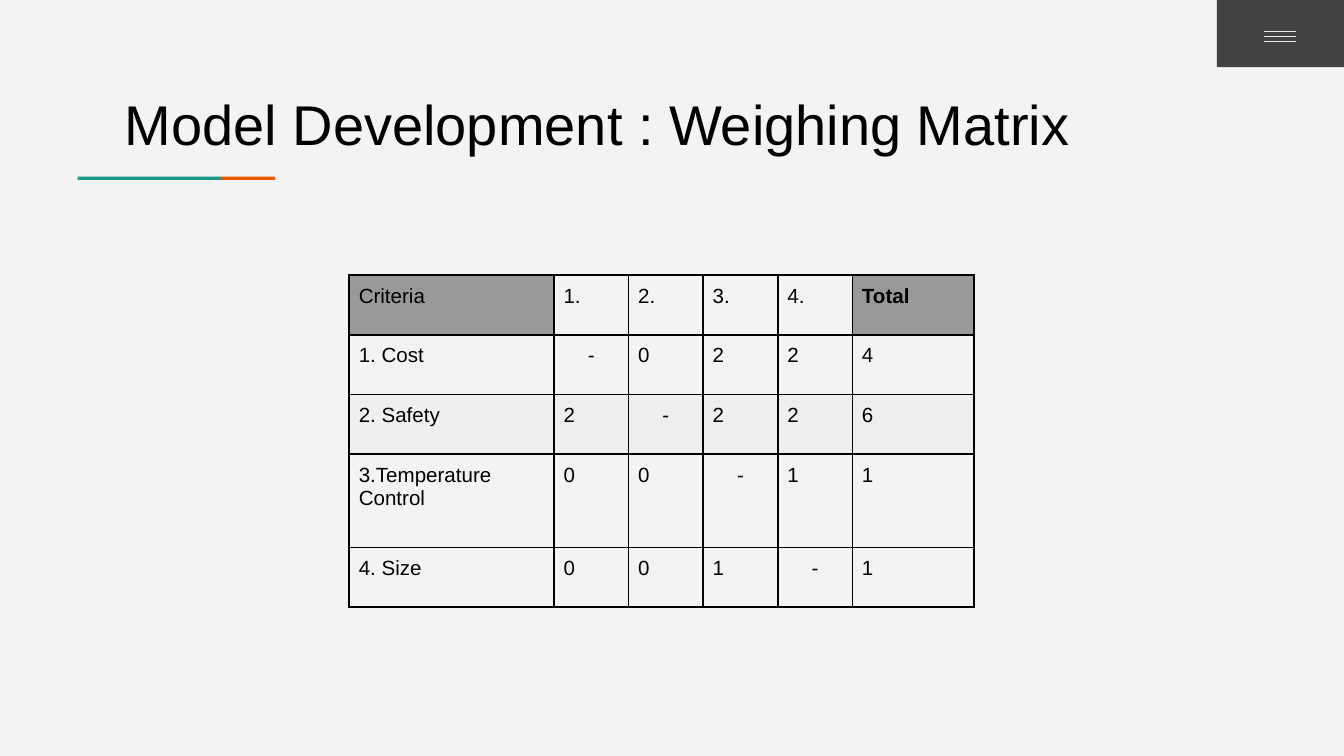
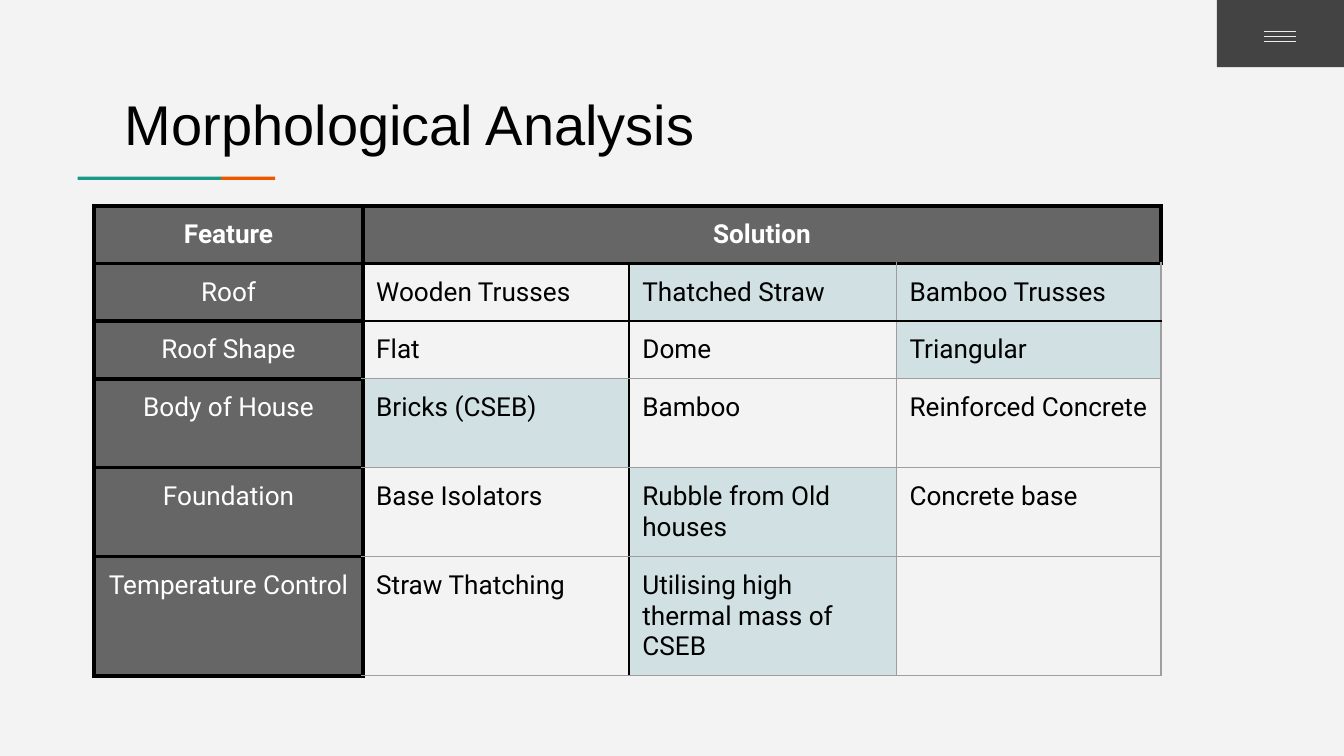
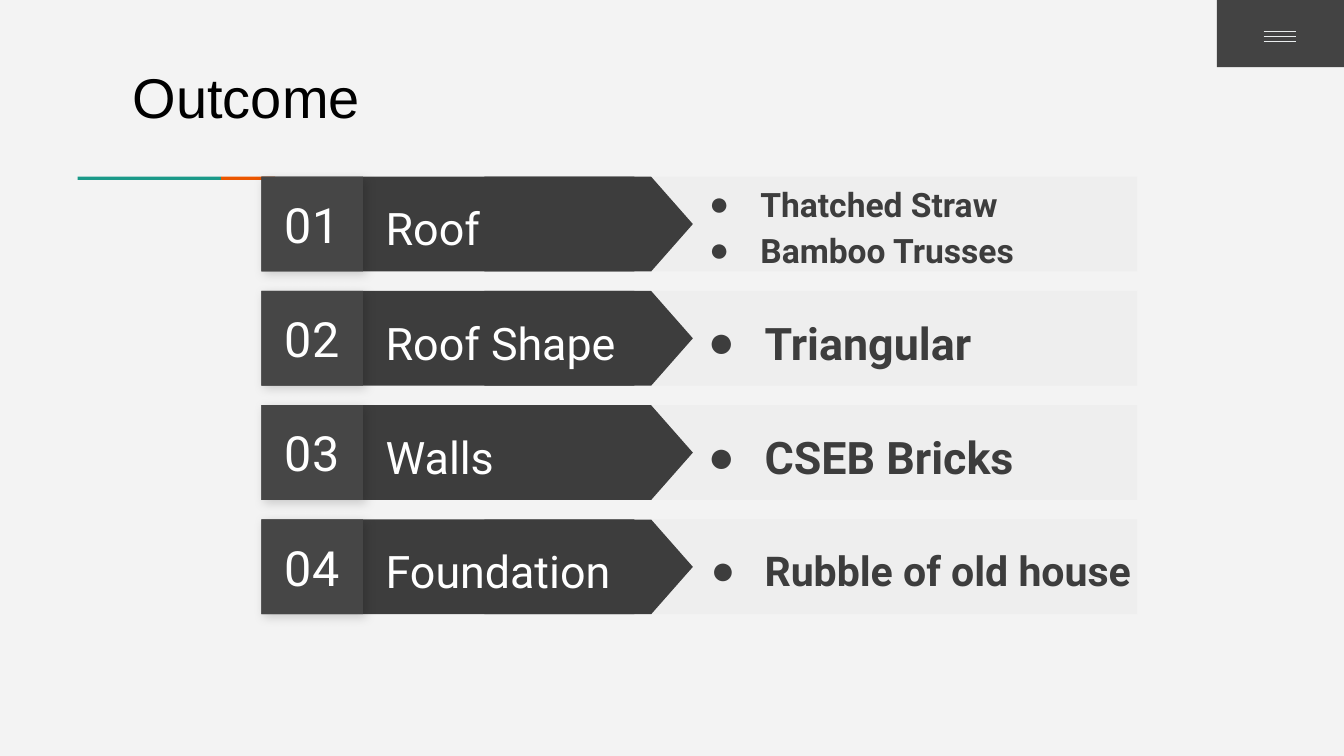
from dataclasses import dataclass
from itertools import accumulate
from typing import Callable

from lxml import etree
from pptx import Presentation
from pptx.dml.color import RGBColor
from pptx.enum.shapes import MSO_CONNECTOR, MSO_SHAPE
from pptx.enum.text import MSO_ANCHOR, MSO_AUTO_SIZE, PP_ALIGN
from pptx.oxml.ns import qn
from pptx.util import Cm, Pt

RECT = MSO_SHAPE.RECTANGLE
ARROW = MSO_SHAPE.FLOWCHART_OFFPAGE_CONNECTOR
LINE = MSO_CONNECTOR.STRAIGHT
LEFT, MID, JUST = PP_ALIGN.LEFT, PP_ALIGN.CENTER, PP_ALIGN.JUSTIFY
TOP, CENTER = MSO_ANCHOR.TOP, MSO_ANCHOR.MIDDLE

COLORS = {
    "page": "F3F3F3", "black": "000000", "white": "FFFFFF",
    "teal": "1A9988", "orange": "EB5600", "tab": "434343", "menu": "E9EDEE",
    "head": "999999", "band": "EFEFEF", "feature": "666666",
    "pick": "D0E0E3", "edge": "1A1A1A", "grid": "9E9E9E",
    "panel": "EEEEEE", "dark": "3D3D3D", "under": "414141", "number": "464646",
}
TITLE_ONLY, FOUR_BODIES = 5, 4
PAD = 0.25


@dataclass
class Look:
    size: float
    color: str = "black"
    bold: bool = False
    font: str = "Roboto"


@dataclass
class Edge:
    color: str
    width: float


@dataclass
class Grid:
    left: float
    top: float
    cols: list[float]
    rows: list[float]

    def box(self, row: int, col: int, span: int = 1) -> tuple[float, ...]:
        """Left, top, width and height of a cell or a run of cells."""
        return (self.left + sum(self.cols[:col]), self.top + sum(self.rows[:row]),
                sum(self.cols[col:col + span]), self.rows[row])


@dataclass
class Cell:
    look: Look
    align: PP_ALIGN
    fill: str | None = None


@dataclass
class Step:
    name: str
    finds: list[str]
    size: float
    hang: float
    left: float = 12.93
    width: float = 8.26


HEAVY, FIRM = Edge("black", 2.25), Edge("black", 1.5)
THIN, PLAIN = Edge("grid", 0.75), Edge("black", 1)

WEIGHTS = [
    ["Criteria", "1.", "2.", "3.", "4.", "Total"],
    ["1. Cost", "-", "0", "2", "2", "4"],
    ["2. Safety", "2", "-", "2", "2", "6"],
    ["3.Temperature Control", "0", "0", "-", "1", "1"],
    ["4. Size", "0", "0", "1", "-", "1"],
]
OPTIONS = [
    ["Feature", "Solution", "", ""],
    ["Roof", "Wooden Trusses", "Thatched Straw", "Bamboo Trusses"],
    ["Roof Shape", "Flat", "Dome", "Triangular"],
    ["Body of House", "Bricks (CSEB)", "Bamboo", "Reinforced Concrete"],
    ["Foundation", "Base Isolators", "Rubble from Old houses", "Concrete base"],
    ["Temperature Control", "Straw Thatching", "Utilising high thermal mass of CSEB", ""],
]
PICKS = [(5, 2, 1), (4, 2, 1), (3, 1, 1), (2, 3, 1), (1, 2, 2)]
STEPS = [
    Step("Roof", ["Thatched Straw", "Bamboo Trusses"], 18, 0.97, left=12.85),
    Step("Roof Shape", ["Triangular"], 24, 1.07),
    Step("Walls", ["CSEB Bricks"], 24, 1.07),
    Step("Foundation", ["Rubble of old house"], 22, 1.02, width=8.97),
]


def rgb(name: str) -> RGBColor:
    return RGBColor.from_string(COLORS[name])


def style(para, look: Look, align: PP_ALIGN) -> None:
    para.alignment = align
    for run in para.runs:
        font = run.font
        font.name, font.size, font.bold = look.font, Pt(look.size), look.bold
        font.color.rgb = rgb(look.color)


def write(shape, text: str, look: Look, align: PP_ALIGN = LEFT,
          anchor: MSO_ANCHOR = CENTER, space: float = 1.0) -> None:
    frame = shape.text_frame
    frame.text = text
    frame.word_wrap, frame.auto_size = True, MSO_AUTO_SIZE.NONE
    frame.vertical_anchor = anchor
    frame.margin_left = frame.margin_right = Cm(PAD)
    frame.margin_top = frame.margin_bottom = Cm(PAD)
    for para in frame.paragraphs:
        para.line_spacing, para.space_before = space, Pt(0)
        style(para, look, align)


def place(shape, left: float, top: float, width: float, height: float) -> None:
    shape.left, shape.top = Cm(left), Cm(top)
    shape.width, shape.height = Cm(width), Cm(height)


def draw(slide, fill: str, left: float, top: float, width: float, height: float,
         kind: MSO_SHAPE = RECT, edge: Edge | None = None):
    shape = slide.shapes.add_shape(kind, Cm(left), Cm(top), Cm(width), Cm(height))
    shape.shadow.inherit = False
    shape.fill.solid()
    shape.fill.fore_color.rgb = rgb(fill)
    if edge:
        shape.line.color.rgb = rgb(edge.color)
        shape.line.width = Pt(edge.width)
    else:
        shape.line.fill.background()
    return shape


def start(deck, layout: int, title: str, box: tuple[float, ...]):
    """Add a slide with its title, two-tone rule and menu tab."""
    slide = deck.slides.add_slide(deck.slide_layouts[layout])
    place(slide.shapes.title, *box)
    write(slide.shapes.title, title, Look(30, font="Arial"), anchor=TOP)
    draw(slide, "teal", 1.47, 3.34, 2.71, 0.06)
    draw(slide, "orange", 4.18, 3.34, 1.02, 0.06)
    draw(slide, "tab", 23, 0, 2.4, 1.27)
    for i in range(3):
        y = Cm(0.59 + 0.1 * i)
        bar = slide.shapes.add_connector(LINE, Cm(23.88), y, Cm(24.49), y)
        bar.line.color.rgb = rgb("menu")
        bar.line.width = Pt(0.75)
        etree.SubElement(bar._element.spPr, qn("a:effectLst"))
    return slide


def border(cell, side: str, edge: Edge) -> None:
    line = etree.SubElement(cell._tc.get_or_add_tcPr(), qn("a:ln" + side),
                            w=str(Pt(edge.width)))
    fill = etree.SubElement(line, qn("a:solidFill"))
    etree.SubElement(fill, qn("a:srgbClr"), val=COLORS[edge.color])


def tabulate(slide, grid: Grid, data: list[list[str]], pad: float,
             cell_of: Callable[[int, int, str], Cell],
             upright: Callable[[int, int], Edge],
             level: Callable[[int, int], Edge]):
    """Fill a table; upright and level give the edge left of and above a cell."""
    table = slide.shapes.add_table(
        len(grid.rows), len(grid.cols), Cm(grid.left), Cm(grid.top),
        Cm(sum(grid.cols)), Cm(sum(grid.rows))).table
    table.first_row = table.horz_banding = False
    for col, width in zip(table.columns, grid.cols):
        col.width = Cm(width)
    for row, height in zip(table.rows, grid.rows):
        row.height = Cm(height)
    for r, texts in enumerate(data):
        for c, text in enumerate(texts):
            cell, plan = table.cell(r, c), cell_of(r, c, text)
            cell.text = text
            cell.margin_left = cell.margin_right = Cm(pad)
            cell.margin_top = cell.margin_bottom = Cm(pad)
            style(cell.text_frame.paragraphs[0], plan.look, plan.align)
            border(cell, "L", upright(r, c))
            border(cell, "R", upright(r, c + 1))
            border(cell, "T", level(r, c))
            border(cell, "B", level(r + 1, c))
            if plan.fill:
                cell.fill.solid()
                cell.fill.fore_color.rgb = rgb(plan.fill)
            else:
                cell.fill.background()
    return table


def weight_cell(row: int, col: int, text: str) -> Cell:
    fill = "band" if row == 2 else None
    if row == 0 and col in (0, 5):
        fill = "head"
    look = Look(11, bold=text == "Total", font="Arial")
    return Cell(look, MID if text == "-" else JUST, fill)


def option_cell(row: int, col: int, text: str) -> Cell:
    if row == 0 or col == 0:
        return Cell(Look(14, "white", row == 0), MID, "feature")
    return Cell(Look(14), LEFT)


def option_upright(row: int, col: int) -> Edge:
    if row == 0 or col < 2:
        return HEAVY
    return FIRM if col == 2 else THIN


def option_level(row: int, col: int) -> Edge:
    if col == 0 or row < 2:
        return HEAVY
    return FIRM if row == 2 else THIN


def matrix(deck) -> None:
    slide = start(deck, TITLE_ONLY, "Model Development : Weighing Matrix",
                  (2.11, 1.45, 20.32, 1.68))
    grid = Grid(6.6, 5.2, [3.87] + [1.41] * 4 + [2.3], [1.13] * 3 + [1.76, 1.13])
    tabulate(slide, grid, WEIGHTS, 0.18, weight_cell,
             lambda row, col: PLAIN, lambda row, col: PLAIN)


def analysis(deck) -> None:
    slide = start(deck, TITLE_ONLY, "Morphological Analysis",
                  (2.11, 1.45, 14.45, 1.68))
    grid = Grid(1.78, 3.89, [5.08, 5.03, 5.05, 5.0], [1.09] * 3 + [1.68] * 2 + [2.25])
    for pick in PICKS:
        draw(slide, "pick", *grid.box(*pick), edge=Edge("edge", 0.75))
    table = tabulate(slide, grid, OPTIONS, PAD, option_cell,
                     option_upright, option_level)
    table.cell(0, 1).merge(table.cell(0, 3))


def shade(shape) -> None:
    """Give a soft shadow to the lower right."""
    effects = shape._element.spPr.find(qn("a:effectLst"))
    outer = etree.SubElement(effects, qn("a:outerShdw"), blurRad=str(Pt(5.6)),
                             dist=str(Pt(2.2)), dir="2700000", algn="tl",
                             rotWithShape="0")
    color = etree.SubElement(outer, qn("a:srgbClr"), val=COLORS["black"])
    etree.SubElement(color, qn("a:alpha"), val="17000")


def bullet(para, hang: float) -> None:
    props = para._p.get_or_add_pPr()
    props.set("marL", str(Cm(1.27)))
    props.set("indent", str(-Cm(hang)))
    color = etree.SubElement(props, qn("a:buClr"))
    etree.SubElement(color, qn("a:srgbClr"), val=COLORS["dark"])
    etree.SubElement(props, qn("a:buChar"), char="●")


def outcome(deck) -> None:
    slide = start(deck, FOUR_BODIES, "Outcome", (2.26, 0.94, 10.06, 1.73))
    bodies = [hold for hold in slide.placeholders if hold.placeholder_format.idx]
    tall, long = 1.79, 3.94
    tops = accumulate([2.16] * 3, initial=3.34)
    for i, (step, body, top) in enumerate(zip(STEPS, bodies, tops), 1):
        draw(slide, "panel", 10.87, top, 10.62, tall)
        draw(slide, "dark", 6.86, top, 5.13, tall)
        # The arrow is turned, so its frame is upright around the same centre.
        arrow = draw(slide, "dark", 10.23, top + (tall - long) / 2, tall, long, ARROW)
        arrow.rotation = 270
        label = slide.shapes.add_textbox(Cm(7.04), Cm(top + 0.21), Cm(5.38), Cm(1.37))
        write(label, step.name, Look(24, "white"), space=1.15)
        shade(draw(slide, "under", 4.94, top, 1.92, tall))
        number = draw(slide, "number", 4.94, top, 1.92, tall)
        write(number, f"{i:02}", Look(26, "white"), MID)
        place(body, step.left, top, step.width, tall)
        write(body, "\n".join(step.finds), Look(step.size, "dark", True), space=1.15)
        for para in body.text_frame.paragraphs:
            bullet(para, step.hang)
        slide.shapes._spTree.append(body._element)  # bring in front of the panel


def main() -> None:
    deck = Presentation()
    deck.slide_width, deck.slide_height = Cm(25.4), Cm(14.29)
    back = deck.slide_master.background.fill
    back.solid()
    back.fore_color.rgb = rgb("page")
    matrix(deck)
    analysis(deck)
    outcome(deck)
    deck.save("out.pptx")


if __name__ == "__main__":
    main()
